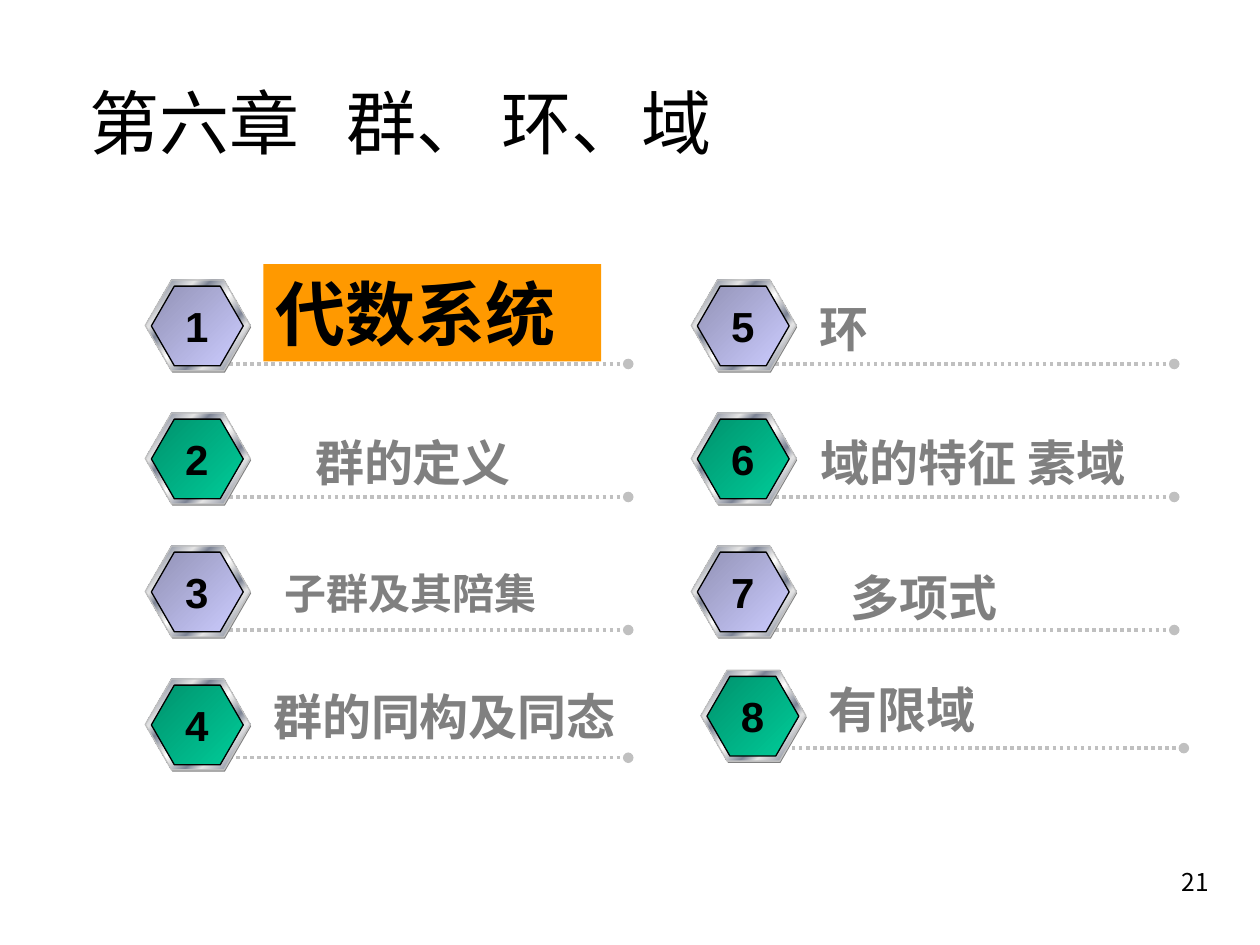
from lxml import etree
from pptx import Presentation
from pptx.dml.color import RGBColor
from pptx.enum.dml import MSO_LINE
from pptx.enum.shapes import MSO_CONNECTOR, MSO_SHAPE
from pptx.enum.text import MSO_AUTO_SIZE, PP_ALIGN
from pptx.oxml.ns import qn
from pptx.util import Pt

HEX, RECT = MSO_SHAPE.HEXAGON, MSO_SHAPE.RECTANGLE
STRAIGHT, DOTS = MSO_CONNECTOR.STRAIGHT, MSO_LINE.ROUND_DOT
LEFT, CENTER, RIGHT = PP_ALIGN.LEFT, PP_ALIGN.CENTER, PP_ALIGN.RIGHT
GROW = MSO_AUTO_SIZE.SHAPE_TO_FIT_TEXT

SANS, PAGE, SERIF, LATIN = ("Noto Sans CJK SC", "Noto Sans CJK KR",
                            "Times New Roman", "Arial")
COLORS = {
    "black": "000000", "gray": "808080", "silver": "C0C0C0",
    "orange": "FF9900", "pale": "E6E6E6", "steel": "7D8496",
    "white": "FFFFFF", "plum": "9292B6", "lilac": "CCCCFF",
    "pine": "00926D", "green": "00CC99",
}
METAL = [(0, "pale"), (8, "steel"), (26, "pale"), (34, "steel"),
         (46, "pale"), (50, "white"), (54, "pale"), (66, "steel"),
         (74, "pale"), (92, "steel"), (100, "pale")]
FACES = [[(0, "plum"), (100, "lilac")], [(0, "pine"), (100, "green")]]

# Grid of badges: two columns of four rows
COLS, TOP, STEP, ROWS = (83, 395), 160, 76, 4

# Label box (left, top, width, height), size, runs of (text, font)
LABELS = [
    ((150.5, 151, 193, 55.5), 40, [("代数系统", SANS)]),
    ((173, 243.5, 150, 41), 28, [("群的定义", SANS)]),
    ((155.5, 321, 199, 70), 24, [("子群及其陪集", SERIF)]),
    ((149, 389, 222.5, 41), 28, [("群的", SANS), ("同构及同态", SERIF)]),
    ((461, 167, 192, 41), 28, [("环", SANS)]),
    ((462, 243.5, 209.5, 41), 28, [("域的特征 素域", SANS)]),
    ((479, 321, 150, 41), 28, [("多项式", SANS)]),
    ((466.5, 384.5, 222.5, 41), 28, [("有限域", SANS)]),
]
# Badge and rule shifts that leave the grid: (dx, dy, rule dy)
SHIFTS = {3: (0, 0, -3), 7: (5.5, -5, -3.5)}


def rgb(name):
    return RGBColor.from_string(COLORS[name])


def blend(shape, stops):
    """Fill a shape with a 45 degree gradient."""
    shape.fill.gradient()
    grad = shape._element.spPr.find(qn("a:gradFill"))
    for kid in list(grad):
        grad.remove(kid)
    row = etree.SubElement(grad, qn("a:gsLst"))
    for pos, name in stops:
        stop = etree.SubElement(row, qn("a:gs"), pos=str(pos * 1000))
        etree.SubElement(stop, qn("a:srgbClr"), val=COLORS[name])
    etree.SubElement(grad, qn("a:lin"), ang="2700000", scaled="1")


def add_hex(group, x, y, w, h, edge=None):
    shape = group.shapes.add_shape(HEX, Pt(x), Pt(y), Pt(w), Pt(h))
    shape.shadow.inherit = False
    shape.adjustments[0] = 0.289
    if edge:
        shape.line.color.rgb = rgb(edge)
        shape.line.width = Pt(0.75)
    else:
        shape.line.fill.background()
    return shape


def add_badge(slide, x, y, face):
    """Shade, metal rim and coloured face."""
    group = slide.shapes.add_group_shape()
    shade = add_hex(group, x + 0.5, y + 1, 60, 52)
    shade.fill.solid()
    shade.fill.fore_color.rgb = rgb("gray")
    blend(add_hex(group, x, y, 60, 52, "silver"), METAL)
    blend(add_hex(group, x + 3.5, y + 3.5, 52.5, 45.5, "black"), face)


def add_rule(slide, x, y):
    """Dotted line with a round end."""
    rule = slide.shapes.add_connector(STRAIGHT, Pt(x), Pt(y), Pt(x + 228), Pt(y))
    rule.line.color.rgb = rgb("silver")
    rule.line.width = Pt(2)
    rule.line.dash_style = DOTS
    etree.SubElement(rule.line._get_or_add_ln(), qn("a:tailEnd"), type="oval")
    etree.SubElement(rule._element.spPr, qn("a:effectLst"))


def add_text(slide, box, size, runs, color="black", bold=True,
             align=LEFT, wrap=True, grow=True, back=None):
    place = [Pt(v) for v in box]
    if back:
        shape = slide.shapes.add_shape(RECT, *place)
        shape.shadow.inherit = False
        shape.fill.solid()
        shape.fill.fore_color.rgb = rgb(back)
        shape.line.fill.background()
    else:
        shape = slide.shapes.add_textbox(*place)
    frame = shape.text_frame
    frame.word_wrap = wrap
    if grow:
        frame.auto_size = GROW
    para = frame.paragraphs[0]
    para.alignment = align
    for text, face in runs:
        run = para.add_run()
        run.text = text
        font = run.font
        font.name, font.size, font.bold = face, Pt(size), bold
        font.color.rgb = rgb(color)


def main():
    deck = Presentation()
    deck.slide_width, deck.slide_height = Pt(720), Pt(540)
    slide = deck.slides.add_slide(deck.slide_layouts[6])

    # Title
    add_text(slide, (44, 42, 631.5, 70), 40, [("第六章   群、 环、域", SANS)],
             bold=False, grow=False)

    # Chapter sections
    for i, (box, size, runs) in enumerate(LABELS):
        col, row = divmod(i, ROWS)
        dx, dy, drop = SHIFTS.get(i, (0, 0, 0))
        x, y = COLS[col] + dx, TOP + row * STEP + dy
        add_rule(slide, x + 48, y + 48 + drop)
        add_badge(slide, x, y, FACES[row % 2])
        add_text(slide, (x + 15.5, y + 8, 28, 36), 24, [(str(i + 1), LATIN)],
                 align=CENTER, wrap=False)
        first = i == 0
        add_text(slide, box, size, runs, "black" if first else "gray",
                 back="orange" if first else None)

    # Page number
    add_text(slide, (548, 492, 150, 36), 14, [("21", PAGE)],
             bold=False, align=RIGHT, grow=False)

    deck.save("out.pptx")


if __name__ == "__main__":
    main()
